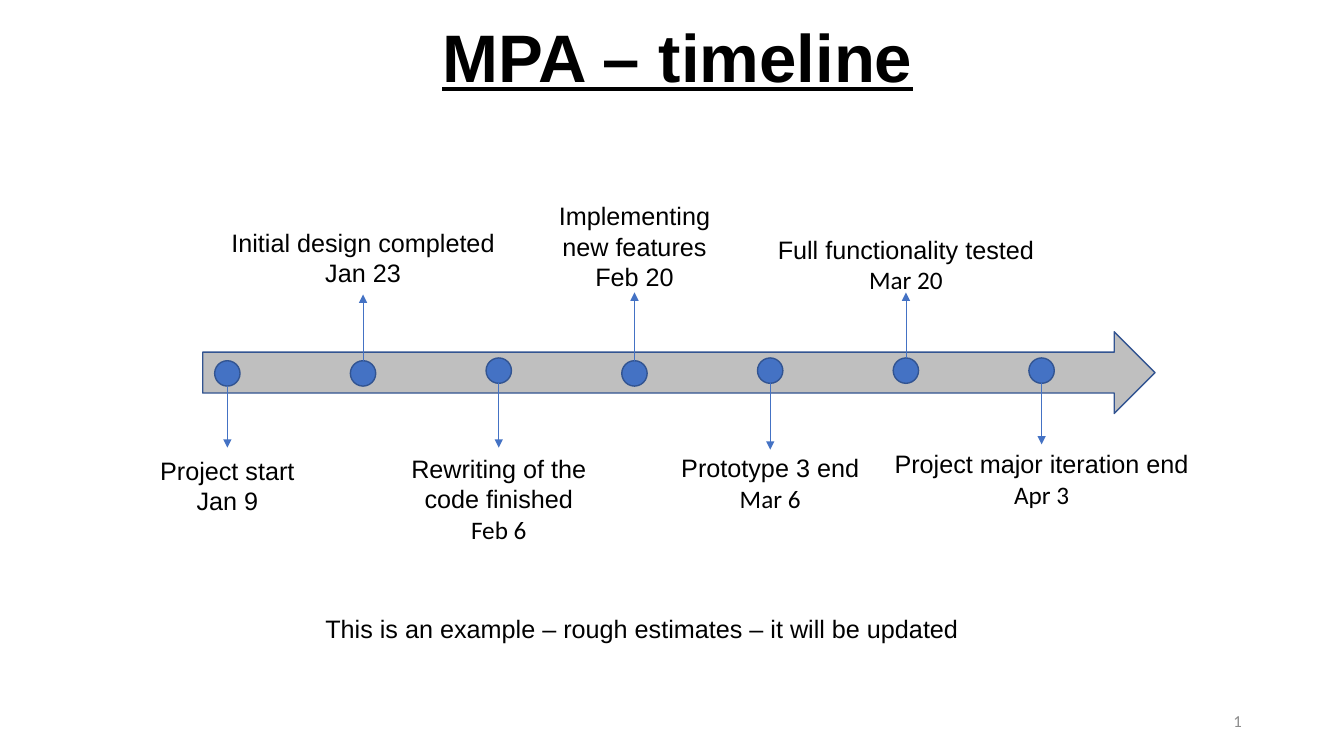
from dataclasses import dataclass

from lxml.etree import SubElement
from pptx import Presentation
from pptx.dml.color import RGBColor
from pptx.enum.shapes import MSO_CONNECTOR, MSO_SHAPE
from pptx.enum.text import MSO_ANCHOR, PP_ALIGN
from pptx.oxml.ns import qn
from pptx.util import Cm, Pt

BLUE, DARK_BLUE, GREY = "4472C4", "325491", "BFBFBF"
FIRST_CENTER, STEP, DOT_SIZE = 5.73, 3.42, 0.64  # centimetres


@dataclass
class Milestone:
    text: str
    date: str
    date_font: str
    dot_top: float
    arrow_tip: float
    label_top: float
    label_width: float
    label_height: float = 1.8
    same_paragraph: bool = False


MILESTONES = [
    Milestone("Project start", "Jan 9", "Arial", 9.09, 11.28, 11.35, 3.99),
    Milestone("Initial design completed", "Jan 23", "Arial", 9.09, 7.42, 5.61, 7.37),
    Milestone("Rewriting of the code finished ", "Feb 6", "Calibri", 9.02, 11.28, 11.3, 5.03,
              2.57, True),
    Milestone("Implementing new features", "Feb 20", "Arial", 9.09, 7.37, 4.93, 5.08, 2.57),
    Milestone("Prototype 3 end", "Mar 6", "Calibri", 9.02, 11.33, 11.28, 5.03),
    Milestone("Full functionality tested", "Mar 20", "Calibri", 9.02, 7.37, 5.77, 7.09),
    Milestone("Project major iteration end", "Apr 3", "Calibri", 9.02, 11.2, 11.18, 8.1),
]


def color(hex_value):
    return RGBColor.from_string(hex_value)


def style_font(font, name="Arial", size=18, hex_value="000000"):
    font.name, font.size = name, Pt(size)
    font.color.rgb = color(hex_value)


def add_text_frame(slide, left, top, width, height, wrap=True):
    box = slide.shapes.add_textbox(Cm(left), Cm(top), Cm(width), Cm(height))
    box.text_frame.word_wrap = wrap
    return box.text_frame


def add_preset(slide, preset, left, top, width, height, fill):
    shape = slide.shapes.add_shape(preset, Cm(left), Cm(top), Cm(width), Cm(height))
    shape.shadow.inherit = False
    shape.fill.solid()
    shape.fill.fore_color.rgb = color(fill)
    shape.line.color.rgb = color(DARK_BLUE)
    shape.line.width = Pt(1)


def add_arrow(slide, x, start, tip):
    arrow = slide.shapes.add_connector(MSO_CONNECTOR.STRAIGHT, Cm(x), Cm(start), Cm(x), Cm(tip))
    arrow.line.color.rgb = color(BLUE)
    arrow.line.width = Pt(0.5)
    SubElement(arrow.line._get_or_add_ln(), qn("a:tailEnd"), type="triangle")
    SubElement(arrow._element.spPr, qn("a:effectLst"))


def add_label(slide, center, milestone):
    frame = add_text_frame(slide, center - milestone.label_width / 2, milestone.label_top,
                           milestone.label_width, milestone.label_height)
    paragraph = frame.paragraphs[0]
    paragraph.alignment = PP_ALIGN.CENTER
    text_run = paragraph.add_run()
    text_run.text = milestone.text
    if milestone.same_paragraph:
        date_run = paragraph.add_run()
        date_run.text = milestone.date
        style_font(text_run.font)
        style_font(date_run.font, milestone.date_font)
    else:
        style_font(paragraph.font)
        date = frame.add_paragraph()
        date.text = milestone.date
        date.alignment = PP_ALIGN.CENTER
        style_font(date.font, milestone.date_font)


def add_milestone(slide, center, milestone):
    add_preset(slide, MSO_SHAPE.OVAL, center - DOT_SIZE / 2, milestone.dot_top,
               DOT_SIZE, DOT_SIZE, BLUE)
    points_down = milestone.arrow_tip > milestone.dot_top
    start = milestone.dot_top + (DOT_SIZE if points_down else 0)
    add_arrow(slide, center, start, milestone.arrow_tip)
    add_label(slide, center, milestone)


def add_title(slide, text):
    paragraph = add_text_frame(slide, 10.9, 0.25, 12.5, 2.31, wrap=False).paragraphs[0]
    paragraph.text = text
    style_font(paragraph.font, size=48)
    paragraph.font.bold = paragraph.font.underline = True


def add_note(slide, text):
    paragraph = add_text_frame(slide, 7.95, 15.32, 16.94, 1.02).paragraphs[0]
    paragraph.text = text
    style_font(paragraph.font)


def add_slide_number(slide):
    frame = add_text_frame(slide, 23.93, 17.65, 7.62, 1.02)
    frame.vertical_anchor = MSO_ANCHOR.MIDDLE
    paragraph = frame.paragraphs[0]
    paragraph.alignment = PP_ALIGN.RIGHT
    style_font(paragraph.font, "Calibri", 12, "8C8C8C")
    field = SubElement(paragraph._p, qn("a:fld"), type="slidenum",
                       id="{B6F15528-21DE-4FAA-801E-634DDDAF4B2B}")
    SubElement(field, qn("a:rPr"), lang="en-US")
    SubElement(field, qn("a:t")).text = "1"


def main():
    presentation = Presentation()
    presentation.slide_width, presentation.slide_height = Cm(33.87), Cm(19.05)
    slide = presentation.slides.add_slide(presentation.slide_layouts[6])

    # Heading and slide number
    add_title(slide, "MPA – timeline")
    add_slide_number(slide)

    # Timeline with evenly spaced milestones
    add_preset(slide, MSO_SHAPE.RIGHT_ARROW, 5.11, 8.36, 24, 2.06, GREY)
    for index, milestone in enumerate(MILESTONES):
        add_milestone(slide, FIRST_CENTER + index * STEP, milestone)

    # Closing note
    add_note(slide, "This is an example – rough estimates – it will be updated")
    presentation.save("out.pptx")


main()
